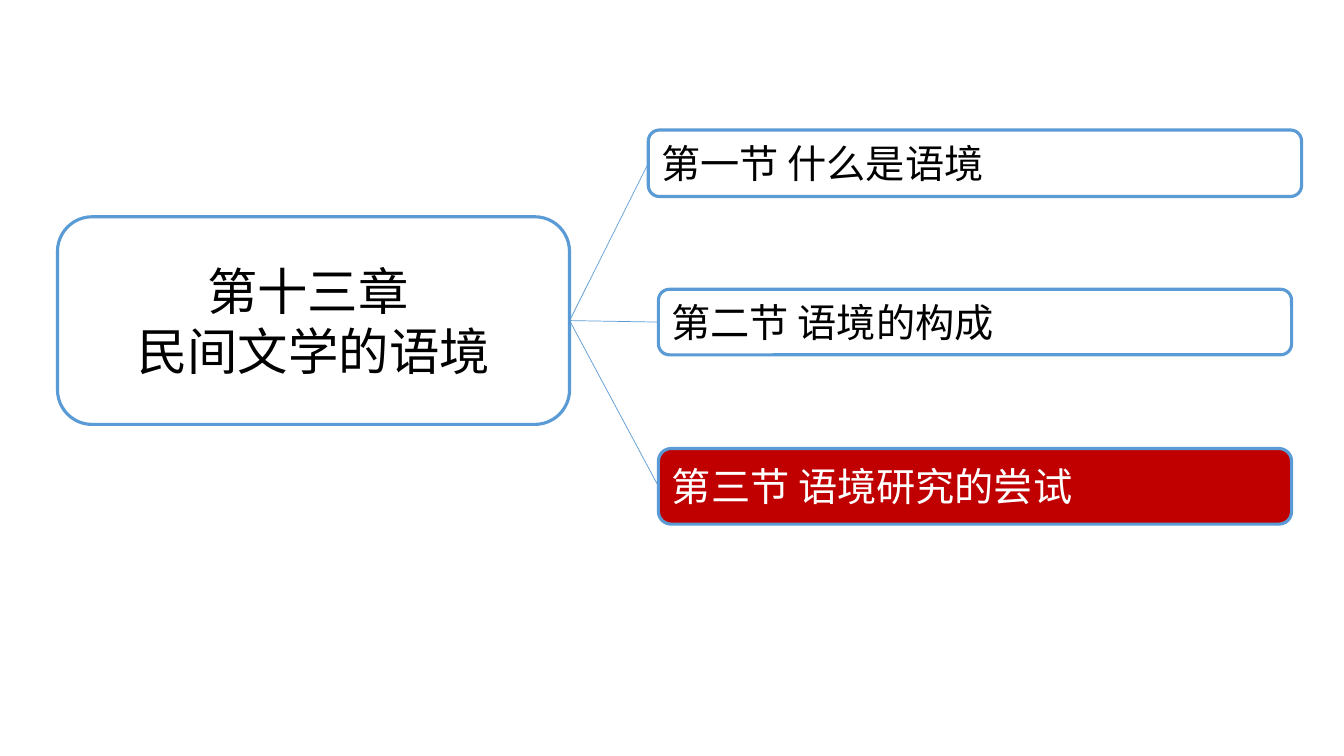
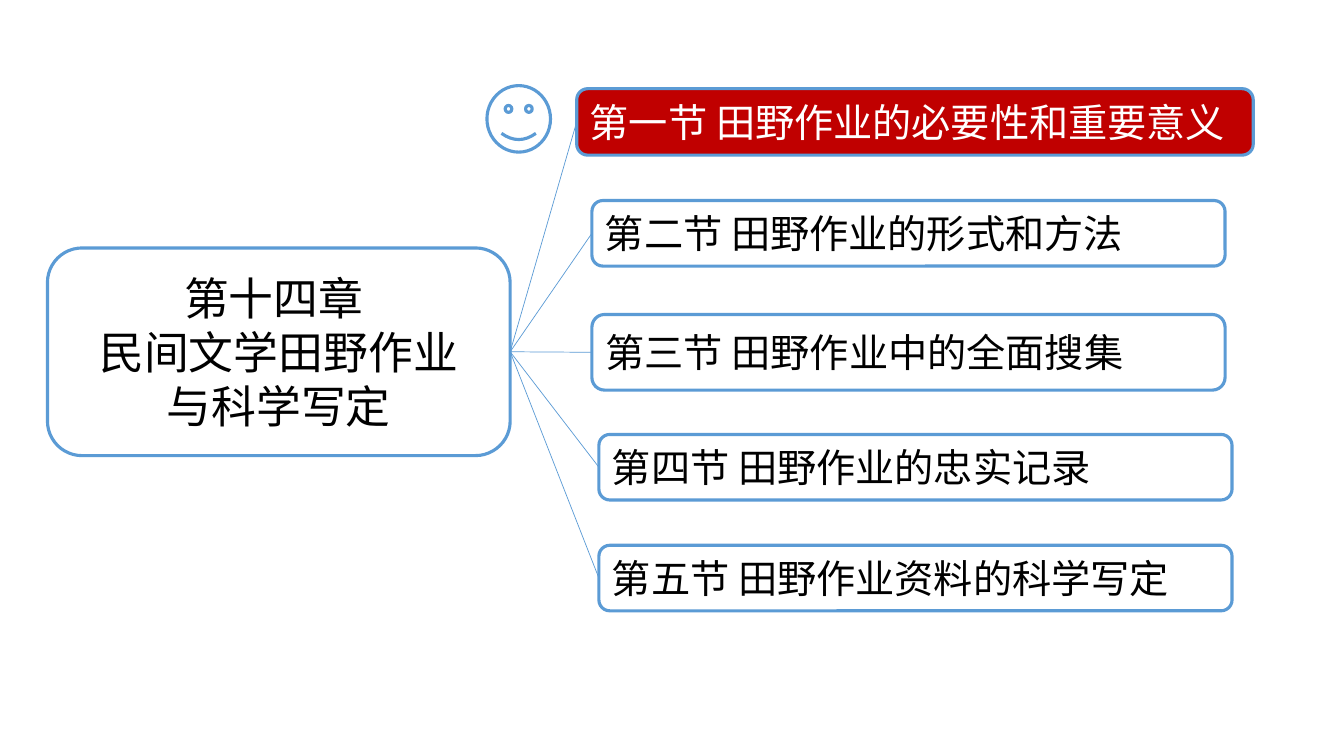
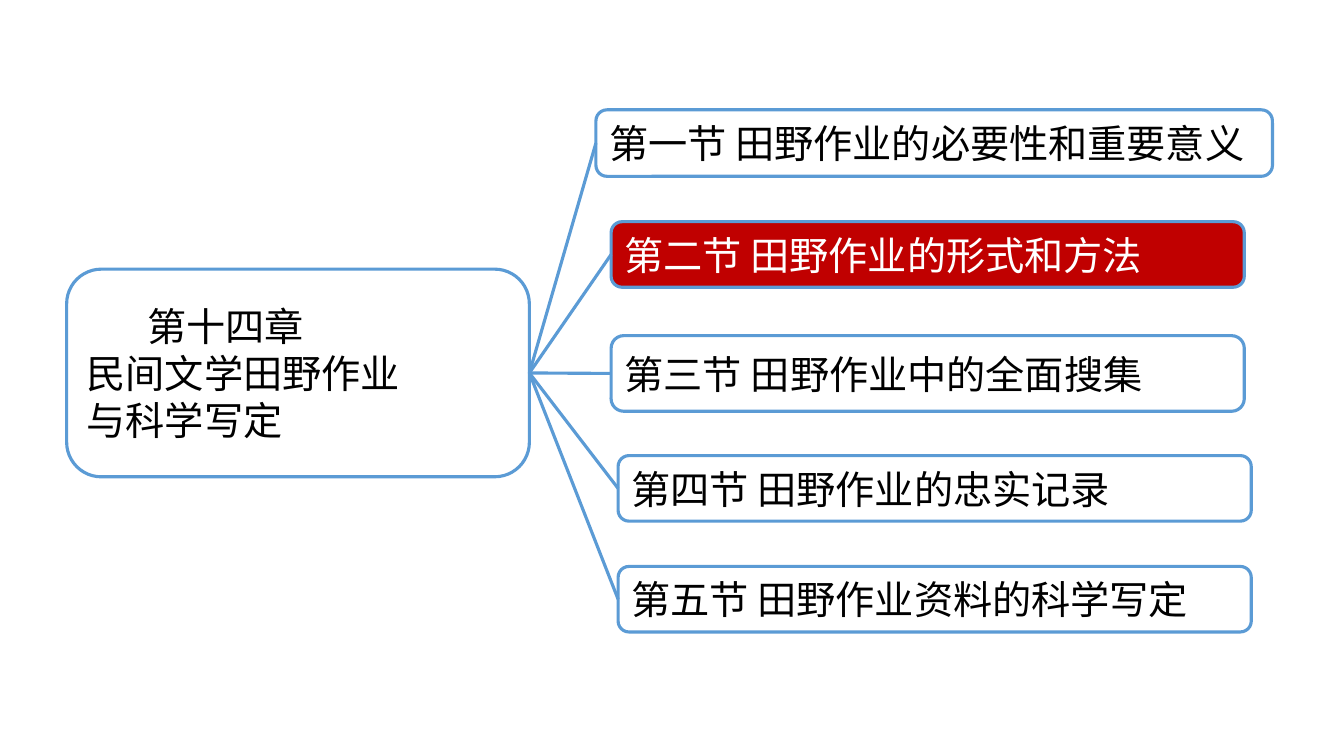
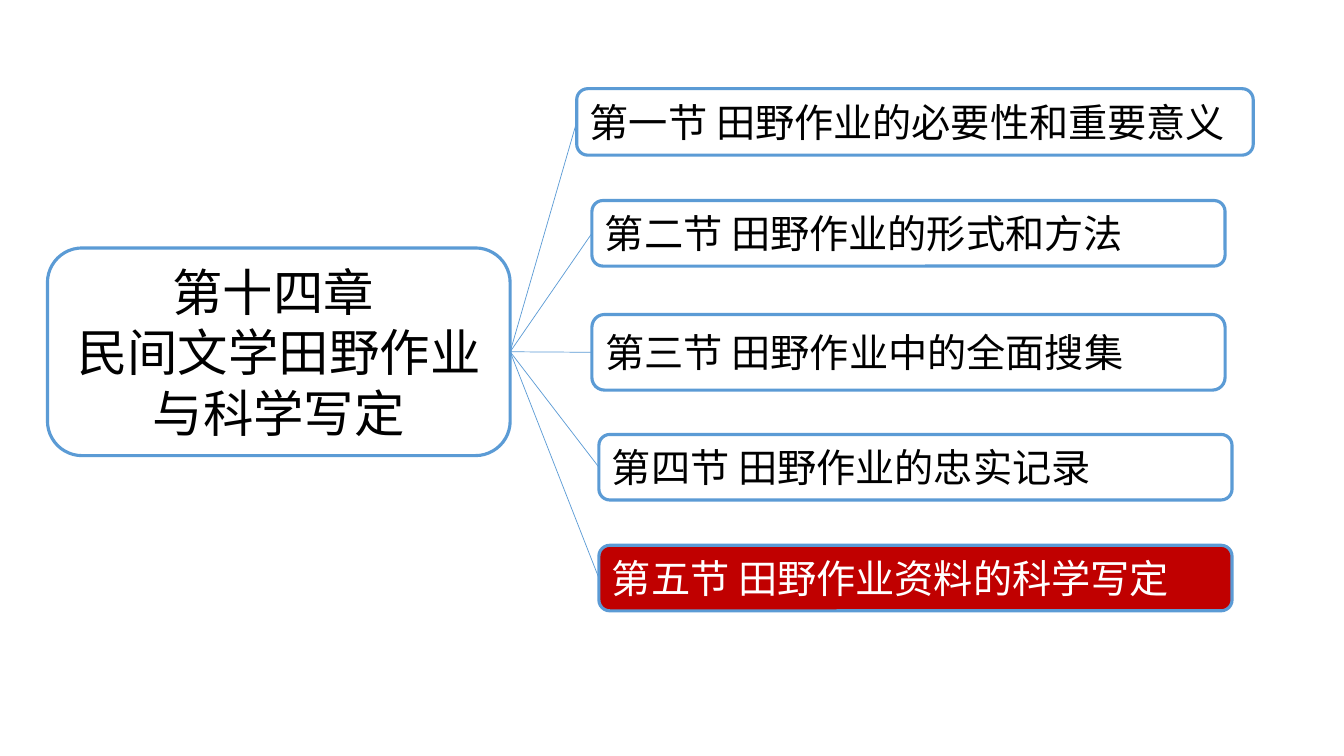
from pptx import Presentation
from pptx.dml.color import RGBColor
from pptx.enum.shapes import MSO_CONNECTOR, MSO_SHAPE
from pptx.enum.text import MSO_ANCHOR, PP_ALIGN
from pptx.oxml.ns import qn
from pptx.util import Inches, Pt
from lxml import etree

ROUNDED = MSO_SHAPE.ROUNDED_RECTANGLE
SMILEY = MSO_SHAPE.SMILEY_FACE
STRAIGHT = MSO_CONNECTOR.STRAIGHT
MIDDLE = MSO_ANCHOR.MIDDLE
LEFT, CENTER = PP_ALIGN.LEFT, PP_ALIGN.CENTER
LEFT_SIDE, RIGHT_SIDE = 1, 3

BLUE = RGBColor(0x5B, 0x9B, 0xD5)
RED = RGBColor(0xC0, 0x00, 0x00)
BLACK = RGBColor(0x00, 0x00, 0x00)
WHITE = RGBColor(0xFF, 0xFF, 0xFF)
FONT = "Noto Sans CJK SC"

GRID = 100
OUTLINE = 2.25
HAIRLINE = 0.5
SECTION_SIZE = 28

CONTEXT_CHAPTER = (4.28, 28.67, 38.1, 27.47)
CONTEXT_SECTIONS = [
    ("第一节 什么是语境", (48.24, 17.2, 48.61, 8.8)),
    ("第二节 语境的构成", (48.99, 38.27, 47.11, 8.67)),
    ("第三节 语境研究的尝试", (48.99, 59.33, 47.11, 10)),
]
FIELDWORK_CHAPTER = (3.53, 32.8, 34.43, 27.47)
FIELDWORK_SECTIONS = [
    ("第一节 田野作业的必要性和重要意义", (42.91, 11.73, 50.34, 8.8)),
    ("第二节 田野作业的形式和方法", (44.04, 26.53, 47.11, 8.67)),
    ("第三节 田野作业中的全面搜集", (44.04, 41.6, 47.11, 10)),
    ("第四节 田野作业的忠实记录", (44.56, 57.47, 47.11, 8.67)),
    ("第五节 田野作业资料的科学写定", (44.56, 72.13, 47.11, 8.67)),
]


def write(shape, lines, size=SECTION_SIZE, color=BLACK, align=LEFT, first_indent=0):
    frame = shape.text_frame
    frame.word_wrap = True
    frame.vertical_anchor = MIDDLE
    for number, line in enumerate(lines):
        paragraph = frame.add_paragraph() if number else frame.paragraphs[0]
        paragraph.alignment = align
        if first_indent and number == 0:
            properties = paragraph._p.get_or_add_pPr()
            properties.set("marL", "0")
            properties.set("indent", str(Inches(first_indent)))
        run = paragraph.add_run()
        run.text = line
        run.font.size = Pt(size)
        run.font.name = FONT
        run.font.color.rgb = color
        etree.SubElement(run._r.get_or_add_rPr(), qn("a:ea")).set("typeface", FONT)


class Outline:
    def __init__(self):
        self.deck = Presentation()
        self.deck.slide_width = Inches(13.33)
        self.deck.slide_height = Inches(7.5)
        self.column = self.deck.slide_width / GRID
        self.row = self.deck.slide_height / GRID
        self.slide = None

    def new_slide(self):
        self.slide = self.deck.slides.add_slide(self.deck.slide_layouts[6])

    def box(self, cell, preset=ROUNDED, fill=None, shift=(0, 0)):
        left, top, width, height = cell
        shape = self.slide.shapes.add_shape(
            preset,
            round((left + shift[0]) * self.column),
            round((top + shift[1]) * self.row),
            round(width * self.column),
            round(height * self.row),
        )
        shape.shadow.inherit = False
        if fill is None:
            shape.fill.background()
        else:
            shape.fill.solid()
            shape.fill.fore_color.rgb = fill
        shape.line.color.rgb = BLUE
        shape.line.width = Pt(OUTLINE)
        return shape

    def branch(self, chapter, section, weight):
        line = self.slide.shapes.add_connector(STRAIGHT, 0, 0, 0, 0)
        line.begin_connect(chapter, RIGHT_SIDE)
        line.end_connect(section, LEFT_SIDE)
        line.line.color.rgb = BLUE
        line.line.width = Pt(weight)
        etree.SubElement(line._element.spPr, qn("a:effectLst"))

    def chapter_map(self, title, cell, sections, current, weight=HAIRLINE,
                    shift=(0, 0), **title_format):
        self.new_slide()
        chapter = self.box(cell, shift=shift)
        write(chapter, title, **title_format)
        for number, (heading, place) in enumerate(sections, 1):
            active = number == current
            section = self.box(place, fill=RED if active else None, shift=shift)
            write(section, [heading], color=WHITE if active else BLACK)
            self.branch(chapter, section, weight)


def main():
    outline = Outline()
    outline.chapter_map(["第十三章 ", "民间文学的语境"], CONTEXT_CHAPTER,
                        CONTEXT_SECTIONS, 3, size=36, align=CENTER)

    outline.chapter_map(["第十四章 ", "民间文学田野作业", "与科学写定"],
                        FIELDWORK_CHAPTER, FIELDWORK_SECTIONS, 1,
                        size=32, align=CENTER)
    outline.box((36.23, 11.33, 4.73, 8.8), preset=SMILEY)

    outline.chapter_map(["第十四章", "民间文学田野作业", "与科学写定"],
                        FIELDWORK_CHAPTER, FIELDWORK_SECTIONS, 2,
                        weight=OUTLINE, shift=(1.43, 2.8), first_indent=0.6)

    outline.chapter_map(["第十四章 ", "民间文学田野作业与科学写定"],
                        FIELDWORK_CHAPTER, FIELDWORK_SECTIONS, 5,
                        size=36, align=CENTER)
    outline.deck.save("out.pptx")


if __name__ == "__main__":
    main()
